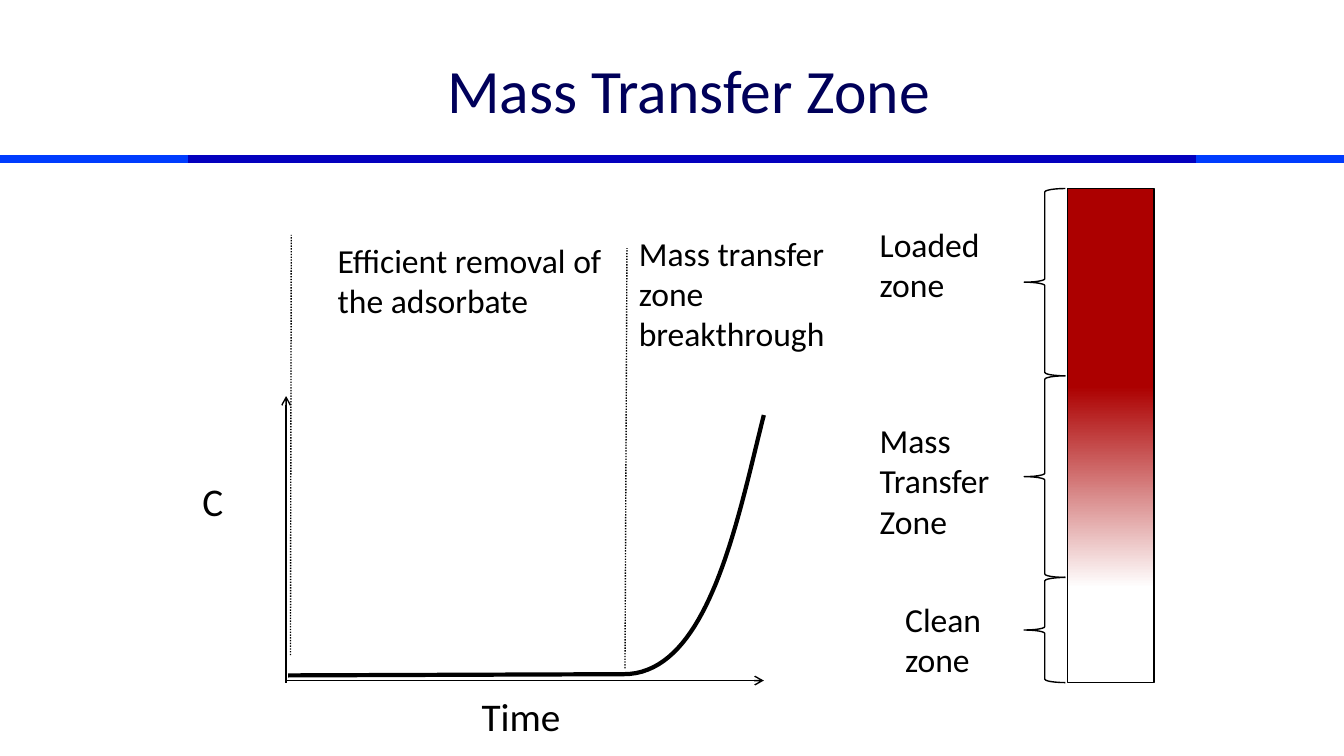
"""Builds the slide on the mass transfer zone of an adsorption column."""
from pptx import Presentation
from pptx.dml.color import RGBColor
from pptx.enum.dml import MSO_LINE
from pptx.enum.shapes import MSO_CONNECTOR, MSO_SHAPE
from pptx.enum.text import MSO_ANCHOR, PP_ALIGN
from pptx.oxml.ns import qn
from pptx.util import Cm, Pt
from lxml import etree

RECT, BRACE = MSO_SHAPE.RECTANGLE, MSO_SHAPE.RIGHT_BRACE
STRAIGHT, DOT = MSO_CONNECTOR.STRAIGHT, MSO_LINE.ROUND_DOT
TOP, MIDDLE = MSO_ANCHOR.TOP, MSO_ANCHOR.MIDDLE
LEFT, CENTER = PP_ALIGN.LEFT, PP_ALIGN.CENTER

FONT = "Calibri"
BLACK, WHITE, RED, NAVY = "000000", "FFFFFF", "AC0000", "00005A"
WIDE, HIGH = 33.87, 19.05

TITLE = ("Mass Transfer Zone", (1.7, 0.64, 31.32, 3.18))
NOTES = [
    ("Efficient removal of the adsorbate", (8.26, 5.92, 7.24, 2.31)),
    ("Mass transfer zone breakthrough", (15.85, 5.74, 5.64, 3.33)),
    ("Loaded zone", (21.92, 5.51, 3.91, 2.31)),
    ("Mass Transfer Zone", (21.92, 10.46, 3.91, 3.33)),
    ("Clean zone", (22.56, 14.96, 3.91, 2.31)),
]
AXES = [
    ("C", (4.85, 11.91, 1.07, 1.45), (7.21, 17.2), (7.21, 9.98)),
    ("Time", (11.89, 17.32, 2.57, 1.45), (7.21, 17.15), (19.25, 17.15)),
]
RULES = [("003CFE", 0, WIDE), ("0300BE", 4.75, 30.15)]
RULE_Y = 4.01
DOTS = [((15.75, 16.84), (15.8, 6.25)), ((7.32, 16.51), (7.34, 5.92))]
START = (7.26, 17.02)
BEND = [(15.72, 16.99), (17.86, 16.99), (18.59, 13.08), (19.25, 10.46)]
STEPS = 40
EDGES = [4.75, 9.47, 14.55, 17.2]
COL_X, COL_W = 26.9, 2.18
BLOCK, FADE_Y = 5.08, 9.73
BRACE_X, BRACE_W = 25.81, 1.04

deck = Presentation()
deck.slide_width, deck.slide_height = Cm(WIDE), Cm(HIGH)
slide = deck.slides.add_slide(deck.slide_layouts[6])
shapes = slide.shapes


def paint(target, color):
    target.solid()
    target.fore_color.rgb = RGBColor.from_string(color)


def stroke(item, color, width):
    paint(item.line.fill, color)
    item.line.width = Pt(width)


def link(start, end, color, width, dash=None, arrow=False):
    line = shapes.add_connector(STRAIGHT, *map(Cm, start + end))
    stroke(line, color, width)
    if dash:
        line.line.dash_style = dash
    if arrow:
        tail = etree.SubElement(line.line._get_or_add_ln(), qn("a:tailEnd"))
        tail.set("type", "arrow")
    etree.SubElement(line._element.spPr, qn("a:effectLst"))


def write(text, box, size, color=BLACK, align=LEFT, anchor=TOP, wrap=True):
    frame = shapes.add_textbox(*map(Cm, box)).text_frame
    frame.word_wrap = wrap
    frame.vertical_anchor = anchor
    frame.text = text
    para = frame.paragraphs[0]
    para.alignment = align
    font = para.runs[0].font
    font.name, font.size = FONT, Pt(size)
    font.color.rgb = RGBColor.from_string(color)


def block(kind, box, fill=None, line=None):
    item = shapes.add_shape(kind, *map(Cm, box))
    item.shadow.inherit = False
    if fill:
        paint(item.fill, fill)
    else:
        item.fill.background()
    if line:
        stroke(item, line, 1)
    else:
        item.line.fill.background()
    return item


def bezier(t):
    parts = ((1 - t) ** 3, 3 * t * (1 - t) ** 2, 3 * t * t * (1 - t), t ** 3)
    return tuple(Cm(sum(p * c for p, c in zip(parts, axis)))
                 for axis in zip(*BEND))


for color, left, right in RULES:
    link((left, RULE_Y), (right, RULE_Y), color, 6)
write(*TITLE, 44, NAVY, CENTER, MIDDLE)

block(RECT, (COL_X, EDGES[0], COL_W, BLOCK), RED)
fade = block(RECT, (COL_X, FADE_Y, COL_W, BLOCK))
fade.fill.gradient()
fade.fill.gradient_angle = 270
for stop, color in zip(fade.fill.gradient_stops, (RED, WHITE)):
    stop.color.rgb = RGBColor.from_string(color)
block(RECT, (COL_X, EDGES[0], COL_W, EDGES[-1] - EDGES[0]), line=BLACK)

pen = shapes.build_freeform(*map(Cm, START))
pen.add_line_segments([bezier(i / STEPS) for i in range(STEPS + 1)], close=False)
curve = pen.convert_to_shape()
curve.shadow.inherit = False
curve.fill.background()
stroke(curve, BLACK, 3)

for name, box, start, end in AXES:
    link(start, end, BLACK, 1, arrow=True)
    write(name, box, 28, wrap=False)
for start, end in DOTS:
    link(start, end, BLACK, 1, dash=DOT)
for top, low in zip(EDGES, EDGES[1:]):
    brace = block(BRACE, (BRACE_X, top, BRACE_W, low - top), WHITE, BLACK)
    brace.rotation = 180
for text, box in NOTES:
    write(text, box, 24)

deck.save("out.pptx")
